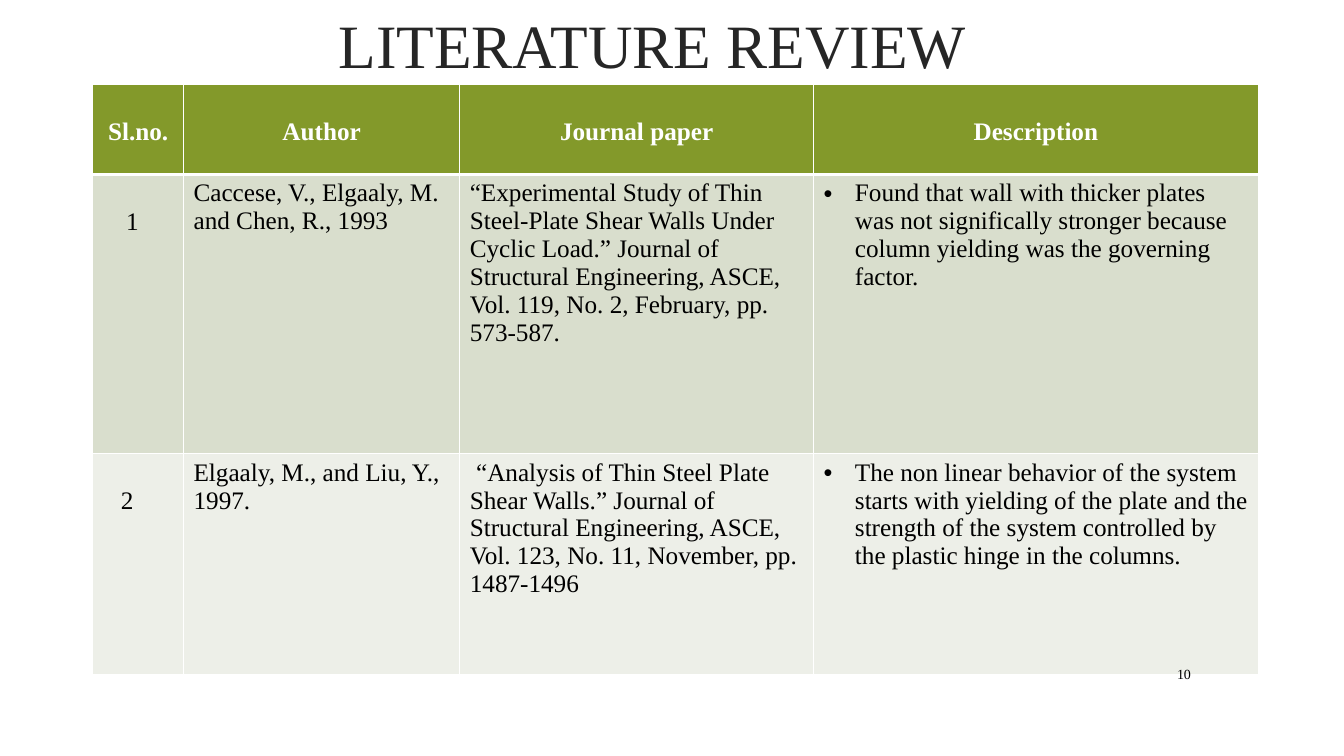
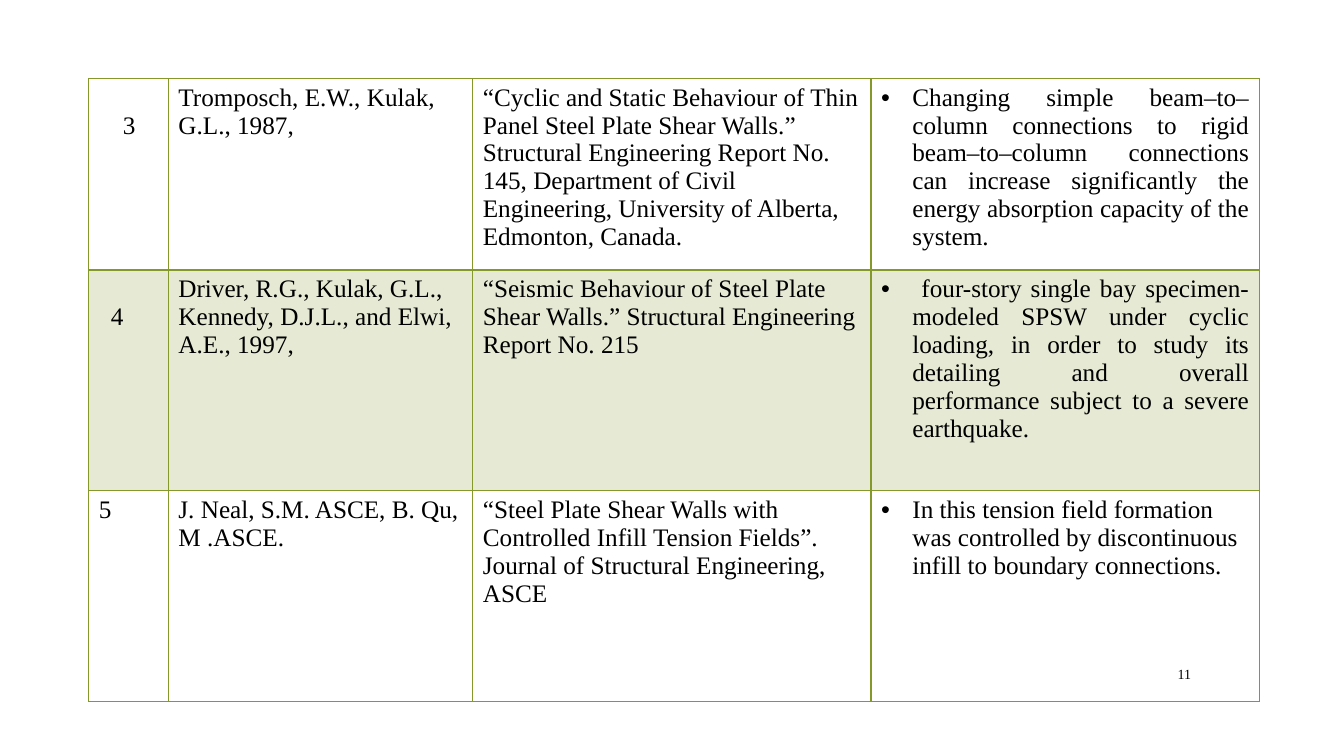
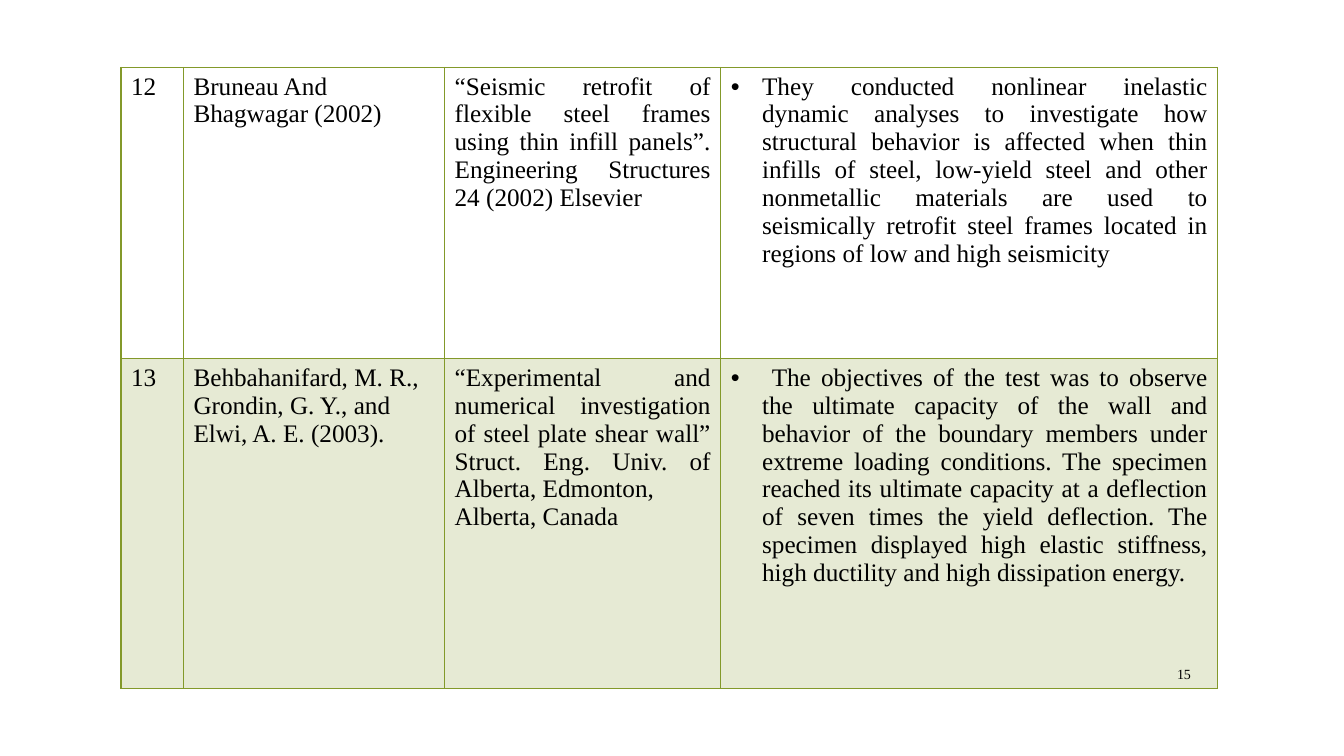
import pptx
import pptx.util
import pptx.dml.color
import pptx.enum.text
import pptx.oxml.ns
import lxml.etree

Inches = pptx.util.Inches
Pt = pptx.util.Pt
RGB = pptx.dml.color.RGBColor
Align = pptx.enum.text.PP_ALIGN
Anchor = pptx.enum.text.MSO_ANCHOR
qn = pptx.oxml.ns.qn

WHITE = RGB(0xFF, 0xFF, 0xFF)
BLACK = RGB(0, 0, 0)
DARK = RGB(0x26, 0x26, 0x26)
GREEN = RGB(0x83, 0x99, 0x2A)
SAGE = RGB(0xD9, 0xDE, 0xCD)
PALE = RGB(0xED, 0xEF, 0xE8)
FONT = "Times New Roman"
WIDE, HIGH = 13.33, 7.5
PAD, LINE, HANG = 0.1, 0.28, 0.31
LEFT, CENTER, JUST = Align.LEFT, Align.CENTER, Align.JUSTIFY

HEAD = ("Sl.no.", "Author", "Journal paper", "Description")

SLIDES = [
    {
        "title": "LITERATURE REVIEW", "page": "10", "at": (0.92, 0.84),
        "cols": (0.9, 2.74, 3.51, 4.41), "rows": (0.89, 2.77, 2.19),
        "edge": WHITE, "below": (3, 1, 1), "fills": (GREEN, SAGE, PALE),
        "alpha": None, "drops": (None, 0.33, 0.28),
        "aligns": ((CENTER,) * 4, (LEFT,) * 4, (LEFT,) * 4),
        "cells": [
            HEAD,
            ("1", "Caccese, V., Elgaaly, M. and Chen, R., 1993",
             "“Experimental Study of Thin Steel-Plate Shear Walls Under Cyclic Load.” "
             "Journal of Structural Engineering, ASCE, Vol. 119, No. 2, February, pp. 573-587.",
             "Found that wall with thicker plates was not significally stronger because "
             "column yielding was the governing factor."),
            ("2", "Elgaaly, M., and Liu, Y., 1997.",
             " “Analysis of Thin Steel Plate Shear Walls.” Journal of Structural Engineering, "
             "ASCE, Vol. 123, No. 11, November, pp. 1487-1496",
             "The non linear behavior of the system starts with yielding of the plate and the "
             "strength of the system controlled by the plastic hinge in the columns."),
        ],
    },
    {
        "title": None, "page": "11", "at": (0.88, 0.78),
        "cols": (0.79, 3.02, 3.95, 3.85), "rows": (1.86, 2.19, 2.09),
        "edge": GREEN, "below": (2, 1, 1), "fills": (None, GREEN, None),
        "alpha": 20, "drops": (0.34, 0.22, None),
        "aligns": ((LEFT, LEFT, LEFT, JUST), (LEFT, LEFT, LEFT, JUST), (LEFT,) * 4),
        "cells": [
            ("3", "Tromposch, E.W., Kulak, G.L., 1987,",
             "“Cyclic and Static Behaviour of Thin Panel Steel Plate Shear Walls.” Structural "
             "Engineering Report No. 145, Department of Civil Engineering, University of "
             "Alberta, Edmonton, Canada.",
             "Changing simple beam–to–column connections to rigid beam–to–column connections "
             "can increase significantly the energy absorption capacity of the system."),
            ("4", "Driver, R.G., Kulak, G.L., Kennedy, D.J.L., and Elwi, A.E., 1997,",
             "“Seismic Behaviour of Steel Plate Shear Walls.” Structural Engineering Report No. 215",
             " four-story single bay specimen-modeled SPSW under cyclic loading, in order to "
             "study its detailing and overall performance subject to a severe earthquake."),
            ("5", "J. Neal, S.M. ASCE, B. Qu, M .ASCE.",
             "“Steel Plate Shear Walls with Controlled Infill Tension Fields”. Journal of "
             "Structural Engineering, ASCE",
             "In this tension field formation was controlled by discontinuous infill to "
             "boundary connections."),
        ],
    },
    {
        "title": None, "page": "15", "at": (1.2, 0.67),
        "cols": (0.62, 2.59, 2.74, 4.93), "rows": (2.89, 3.27),
        "edge": GREEN, "below": (1, 1), "fills": (None, GREEN),
        "alpha": 20, "drops": (None, None),
        "aligns": ((LEFT, LEFT, JUST, JUST),) * 2,
        "cells": [
            ("12", "Bruneau And Bhagwagar (2002)",
             "“Seismic retrofit of flexible steel frames using thin infill panels”. "
             "Engineering Structures 24 (2002) Elsevier",
             "They conducted nonlinear inelastic dynamic analyses to investigate how "
             "structural behavior is affected when thin infills of steel, low-yield steel and "
             "other nonmetallic materials are used to seismically retrofit steel frames "
             "located in regions of low and high seismicity"),
            ("13", "Behbahanifard, M. R., Grondin, G. Y., and Elwi, A. E. (2003).",
             "“Experimental and numerical investigation of steel plate shear wall” Struct. "
             "Eng. Univ. of Alberta, Edmonton,\nAlberta, Canada",
             " The objectives of the test was to observe the ultimate capacity of the wall and "
             "behavior of the boundary members under extreme loading conditions. The specimen "
             "reached its ultimate capacity at a deflection of seven times the yield "
             "deflection. The specimen displayed high elastic stiffness, high ductility and "
             "high dissipation energy."),
        ],
    },
]


def write(para, text, size, color, align, bold=False):
    para.alignment = align
    run = para.add_run()
    run.text = text
    font = run.font
    font.name, font.size, font.bold = FONT, Pt(size), bold
    font.color.rgb = color


def bullet(para):
    props = para._p.get_or_add_pPr()
    props.set("marL", str(Inches(HANG)))
    props.set("indent", str(-Inches(HANG)))
    lxml.etree.SubElement(props, qn("a:buFont")).set("typeface", "Arial")
    lxml.etree.SubElement(props, qn("a:buChar")).set("char", "•")


def border(cell, color, above, below):
    props = cell._tc.get_or_add_tcPr()
    for side, width in (("L", 1), ("R", 1), ("T", above), ("B", below)):
        line = lxml.etree.SubElement(props, qn("a:ln" + side))
        line.set("w", str(Pt(width)))
        fill = lxml.etree.SubElement(line, qn("a:solidFill"))
        lxml.etree.SubElement(fill, qn("a:srgbClr")).set("val", str(color))


def paint(cell, color, alpha):
    if color is None:
        cell.fill.background()
        return
    cell.fill.solid()
    cell.fill.fore_color.rgb = color
    if alpha:
        tint = cell._tc.tcPr.find(qn("a:solidFill")).find(qn("a:srgbClr"))
        lxml.etree.SubElement(tint, qn("a:alpha")).set("val", str(alpha * 1000))


def grid(slide, data):
    cols, rows = data["cols"], data["rows"]
    box = (*data["at"], sum(cols), sum(rows))
    table = slide.shapes.add_table(len(rows), len(cols), *map(Inches, box)).table
    table.first_row = table.horz_banding = False
    for c, width in enumerate(cols):
        table.columns[c].width = Inches(width)
    above = (1,) + data["below"][:-1]
    for r, texts in enumerate(data["cells"]):
        table.rows[r].height = Inches(rows[r])
        head = texts is HEAD
        for c, text in enumerate(texts):
            cell = table.cell(r, c)
            border(cell, data["edge"], above[r], data["below"][r])
            paint(cell, data["fills"][r], data["alpha"])
            drop = data["drops"][r]
            if c == 0 and drop:
                cell.margin_left = Inches(drop)
                cell.margin_top = Inches(0.05 + LINE)
            frame = cell.text_frame
            for n, part in enumerate(text.split("\n")):
                para = frame.add_paragraph() if n else frame.paragraphs[0]
                if head:
                    para.line_spacing = 2.0
                elif c == len(cols) - 1:
                    bullet(para)
                write(para, part, 18, WHITE if head else BLACK, data["aligns"][r][c], head)


def name(slide, text):
    title = slide.shapes.title
    title.left, title.top, title.width, title.height = map(Inches, (1.09, 0, 10.77, 0.88))
    frame = title.text_frame
    frame.auto_size = pptx.enum.text.MSO_AUTO_SIZE.NONE
    frame.vertical_anchor = Anchor.MIDDLE
    write(frame.paragraphs[0], text, 44, DARK, CENTER)


def page(slide, text):
    frame = slide.shapes.add_textbox(*map(Inches, (11.32, 6.53, 0.59, 0.31))).text_frame
    frame.word_wrap = True
    frame.vertical_anchor = Anchor.MIDDLE
    write(frame.paragraphs[0], text, 10, BLACK, Align.RIGHT)


def main():
    deck = pptx.Presentation()
    deck.slide_width, deck.slide_height = Inches(WIDE), Inches(HIGH)
    for data in SLIDES:
        slide = deck.slides.add_slide(deck.slide_layouts[5 if data["title"] else 6])
        if data["title"]:
            name(slide, data["title"])
        grid(slide, data)
        page(slide, data["page"])
    deck.save("out.pptx")


if __name__ == "__main__":
    main()
